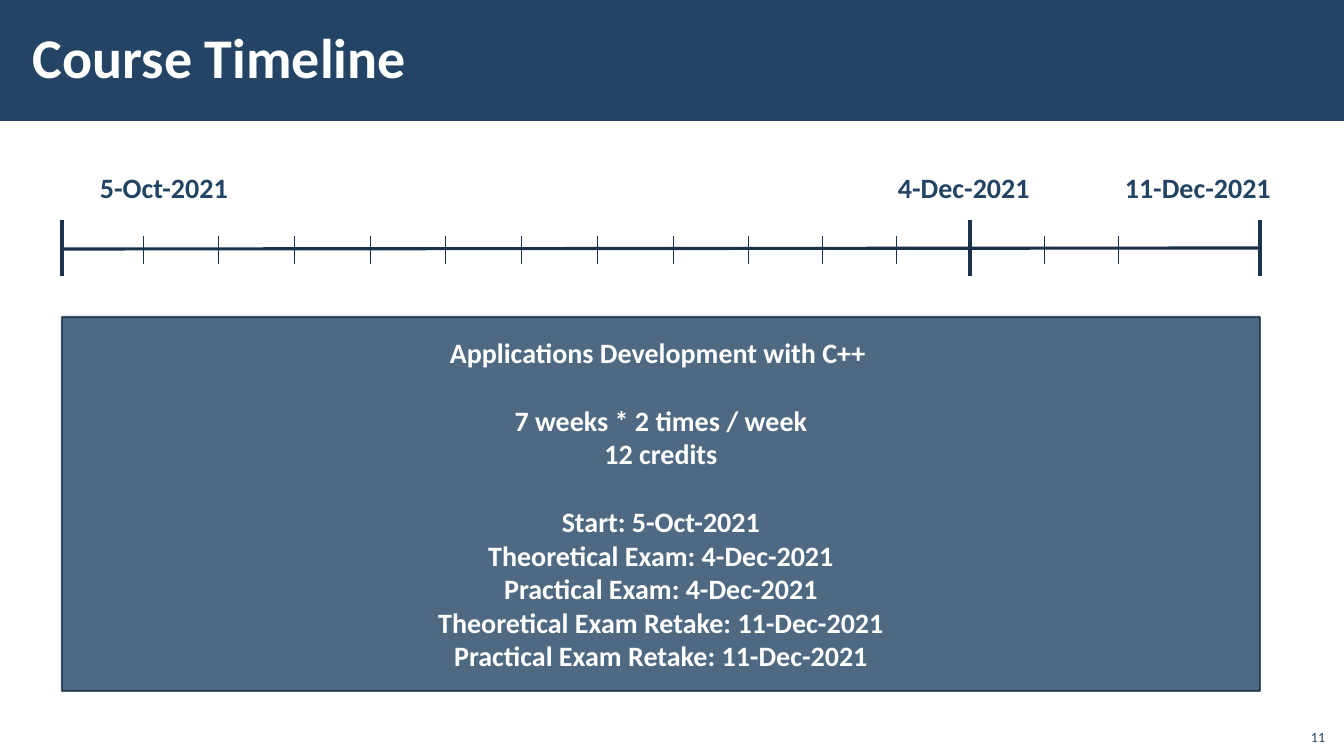
from lxml.etree import SubElement
from pptx import Presentation
from pptx.dml.color import RGBColor
from pptx.enum.shapes import MSO_CONNECTOR, MSO_SHAPE
from pptx.enum.text import MSO_ANCHOR, PP_ALIGN
from pptx.oxml.ns import qn
from pptx.util import Emu, Pt

SCALE = 914400 / 100.8
NAVY, DARK, WHITE = "234465", "1A334C", "FFFFFF"
GAP = 24.4
DATES = [(90, 150, "5-Oct-2021"), (888, 153, "4-Dec-2021"), (1115, 197, "11-Dec-2021")]
FACTS = [
    ("Applications Development with C++ ", 0),
    ("7 weeks * 2 times / week", GAP),
    ("12 credits", 0),
    ("Start: 5-Oct-2021", GAP),
    ("Theoretical Exam: 4-Dec-2021", 0),
    ("Practical Exam: 4-Dec-2021", 0),
    ("Theoretical Exam Retake: 11-Dec-2021", 0),
    ("Practical Exam Retake: 11-Dec-2021", 0),
]
LEFT, RIGHT, EXAM = 62, 1260, 970
TICKS = [143 + 530 * i // 7 for i in range(8)] + [748 + 74 * i for i in range(6)]


def px(*nums):
    """Turn pixels into EMU."""
    return [Emu(round(n * SCALE)) for n in nums]


def paint(color, code, alpha=100):
    """Set a fill or line fill to a hex colour with an opacity."""
    color.solid()
    color.fore_color.rgb = RGBColor.from_string(code)
    if alpha < 100:
        node = color._xPr.find(qn("a:solidFill"))[0]
        SubElement(node, qn("a:alpha"), val=str(alpha * 1000))


def write(frame, rows, size=20, color=NAVY, bold=True, align=PP_ALIGN.LEFT,
          anchor=MSO_ANCHOR.TOP, wrap=True):
    """Fill a text frame with rows of text and space before."""
    frame.word_wrap = wrap
    frame.vertical_anchor = anchor
    for i, (text, space) in enumerate(rows):
        para = frame.paragraphs[0] if i == 0 else frame.add_paragraph()
        para.alignment = align
        para.space_before = Pt(space)
        run = para.add_run()
        run.text = text
        font = run.font
        font.name, font.size, font.bold = "Calibri", Pt(size), bold
        font.color.rgb = RGBColor.from_string(color)


def label(slide, box, text, **form):
    """Add a text box and return its frame."""
    frame = slide.shapes.add_textbox(*px(*box)).text_frame
    write(frame, [(text, 0)], **form)
    return frame


def block(slide, box, fill, line=None, alpha=100):
    """Add a flat rectangle."""
    shape = slide.shapes.add_shape(MSO_SHAPE.RECTANGLE, *px(*box))
    shape.shadow.inherit = False
    paint(shape.fill, fill, alpha)
    if line:
        shape.line.width = Pt(1.5)
        paint(shape.line.fill, line, alpha)
    else:
        shape.line.fill.background()
    return shape


def rule(slide, ends, width):
    """Add a straight line."""
    line = slide.shapes.add_connector(MSO_CONNECTOR.STRAIGHT, *px(*ends))
    line.line.width = Pt(width)
    paint(line.line.fill, DARK)
    SubElement(line._element.spPr, qn("a:effectLst"))


def main():
    """Build the course timeline slide."""
    deck = Presentation()
    deck.slide_width, deck.slide_height = px(1344, 756)
    slide = deck.slides.add_slide(deck.slide_layouts[6])

    block(slide, (0, 0, 1344, 121), NAVY)
    title = label(slide, (21, 7, 1152, 98), "Course Timeline", size=40,
                  color=WHITE, anchor=MSO_ANCHOR.MIDDLE)
    title.margin_left, title.margin_right = px(12, 12)

    for left, width, date in DATES:
        label(slide, (left, 166, width, 44), date, wrap=left > EXAM)

    panel = block(slide, (LEFT, 317, RIGHT - LEFT, 374), NAVY, DARK, 80)
    write(panel.text_frame, FACTS, color=WHITE, align=PP_ALIGN.CENTER,
          anchor=MSO_ANCHOR.MIDDLE)

    rule(slide, (LEFT, 249, RIGHT, 248), 2.25)
    for x in (LEFT, EXAM, RIGHT):
        rule(slide, (x, 220, x, 276), 2.25)
    for x in TICKS:
        rule(slide, (x, 236, x, 264), 0.5)

    label(slide, (1295, 718, 40, 32), "11", size=10, bold=False,
          align=PP_ALIGN.RIGHT, anchor=MSO_ANCHOR.BOTTOM)
    deck.save("out.pptx")


if __name__ == "__main__":
    main()
